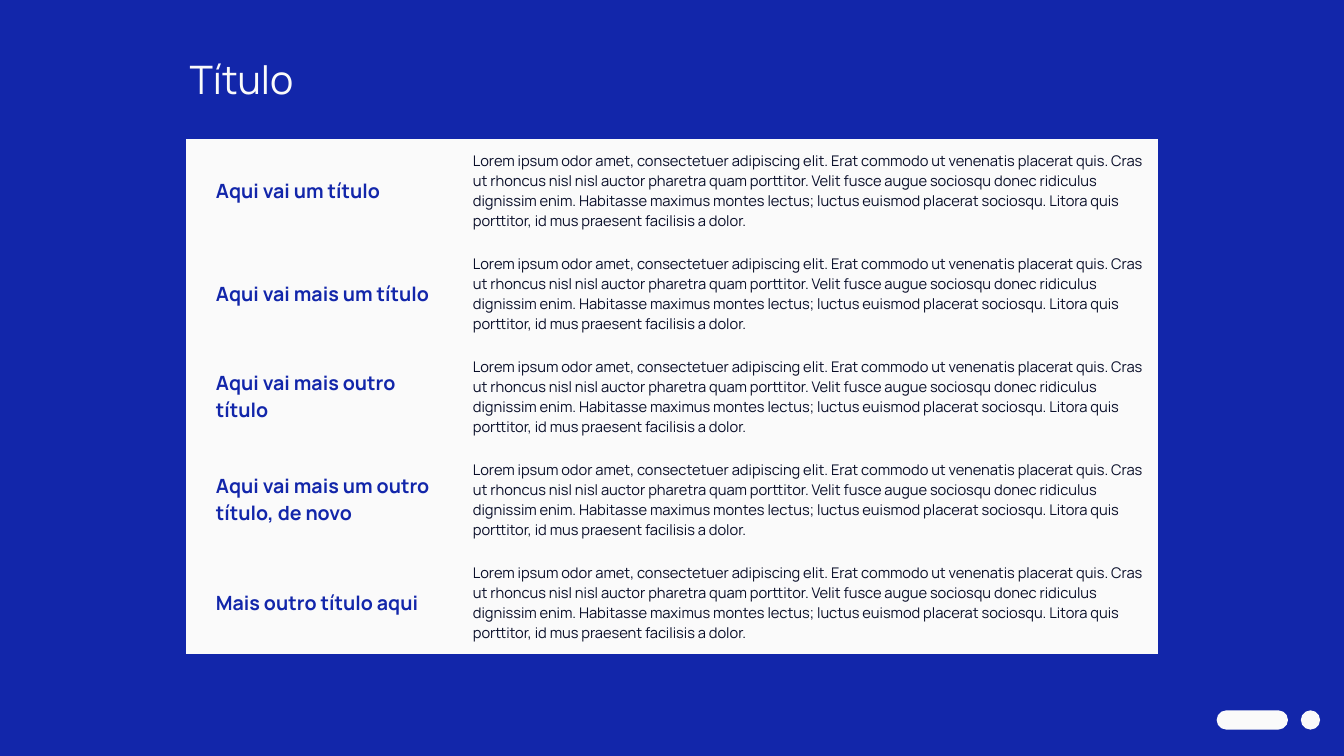
import pptx
import pptx.util
import pptx.dml.color
import pptx.enum.shapes
import pptx.enum.text

Pt = pptx.util.Pt
MID = pptx.enum.text.MSO_ANCHOR.MIDDLE
LEFT = pptx.enum.text.PP_ALIGN.LEFT
FONT = "Manrope"
BLUE, PALE, DARK = "1226AA", "FAFAFA", "090E29"
PLAIN = "{2D5ABB26-0587-4C30-8999-92F81FD0307C}"
HEADS = [
    "Aqui vai um título",
    "Aqui vai mais um título",
    "Aqui vai mais outro título",
    "Aqui vai mais um outro título, de novo",
    "Mais outro título aqui",
]
BODY = (
    "Lorem ipsum odor amet, consectetuer adipiscing elit. "
    "Erat commodo ut venenatis placerat quis. "
    "Cras ut rhoncus nisl nisl auctor pharetra quam porttitor. "
    "Velit fusce augue sociosqu donec ridiculus dignissim enim. "
    "Habitasse maximus montes lectus; luctus euismod placerat sociosqu. "
    "Litora quis porttitor, id mus praesent facilisis a dolor."
)


def paint(fill, tone):
    """Make a fill solid in a hex colour."""
    fill.solid()
    fill.fore_color.rgb = pptx.dml.color.RGBColor.from_string(tone)


def write(para, text, size, tone, bold=False):
    """Add one styled run to a paragraph."""
    para.alignment = LEFT
    run = para.add_run()
    run.text = text
    run.font.name = FONT
    run.font.size = Pt(size)
    run.font.bold = bold
    paint(run.font.fill, tone)


def add_title(slide, text, x, y, w, h):
    """Place the title placeholder in the box."""
    title = slide.shapes.title
    title.left, title.top, title.width, title.height = map(Pt, (x, y, w, h))
    frame = title.text_frame
    frame.word_wrap = True
    frame.vertical_anchor = MID
    frame.margin_left = frame.margin_right = Pt(7.2)
    frame.margin_top = frame.margin_bottom = Pt(7.2)
    write(frame.paragraphs[0], text, 28, PALE)


def add_topics(slide, heads, x, y, w, h):
    """Fill the box with a table of headings and their texts."""
    table = slide.shapes.add_table(len(heads), 2, Pt(x), Pt(y), Pt(w), Pt(h)).table
    table.first_row = table.horz_banding = False
    table._tbl.tblPr.find(pptx.oxml.ns.qn("a:tableStyleId")).text = PLAIN
    side = 183.6
    for col, width in zip(table.columns, (side, w - side)):
        col.width = Pt(width)
    for row, head in enumerate(heads):
        table.rows[row].height = Pt(h / len(heads))
        looks = (head, 14, BLUE, True), (BODY, 10.5, DARK, False)
        for col, look in enumerate(looks):
            cell = table.cell(row, col)
            paint(cell.fill, PALE)
            cell.vertical_anchor = MID
            para = cell.text_frame.paragraphs[0]
            para._p.get_or_add_pPr().set("marL", str(Pt(14.4)))
            write(para, *look)


def add_mark(slide, x, y, w, h):
    """Draw a grouped pill and dot across the box."""
    group = slide.shapes.add_group_shape()
    kind = pptx.enum.shapes.MSO_SHAPE.ROUNDED_RECTANGLE
    for left, width in ((x, w - h - 10.8), (x + w - h, h)):
        pill = group.shapes.add_shape(kind, Pt(left), Pt(y), Pt(width), Pt(h))
        pill.adjustments[0] = 0.5
        pill.shadow.inherit = False
        paint(pill.fill, PALE)
        paint(pill.line.fill, PALE)
        pill.line.width = Pt(1.5)


def main():
    """Build and save the slide."""
    deck = pptx.Presentation()
    deck.slide_width, deck.slide_height = Pt(960), Pt(540)
    slide = deck.slides.add_slide(deck.slide_layouts[5])
    paint(slide.background.fill, BLUE)
    add_mark(slide, 869.8, 508.2, 72.4, 12.2)
    add_topics(slide, HEADS, 132.6, 99.4, 694.8, 368)
    add_title(slide, "Título", 128.2, 32.4, 380.9, 48.2)
    deck.save("out.pptx")


if __name__ == "__main__":
    main()
